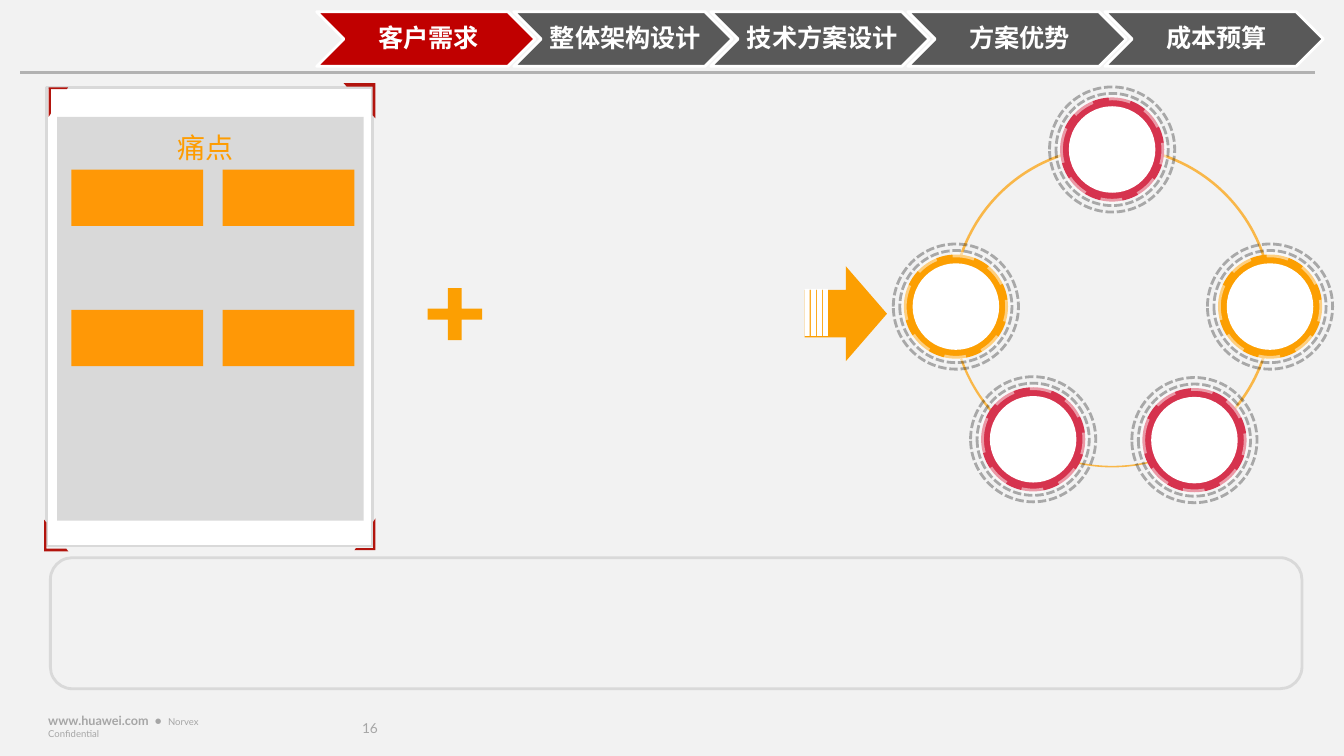
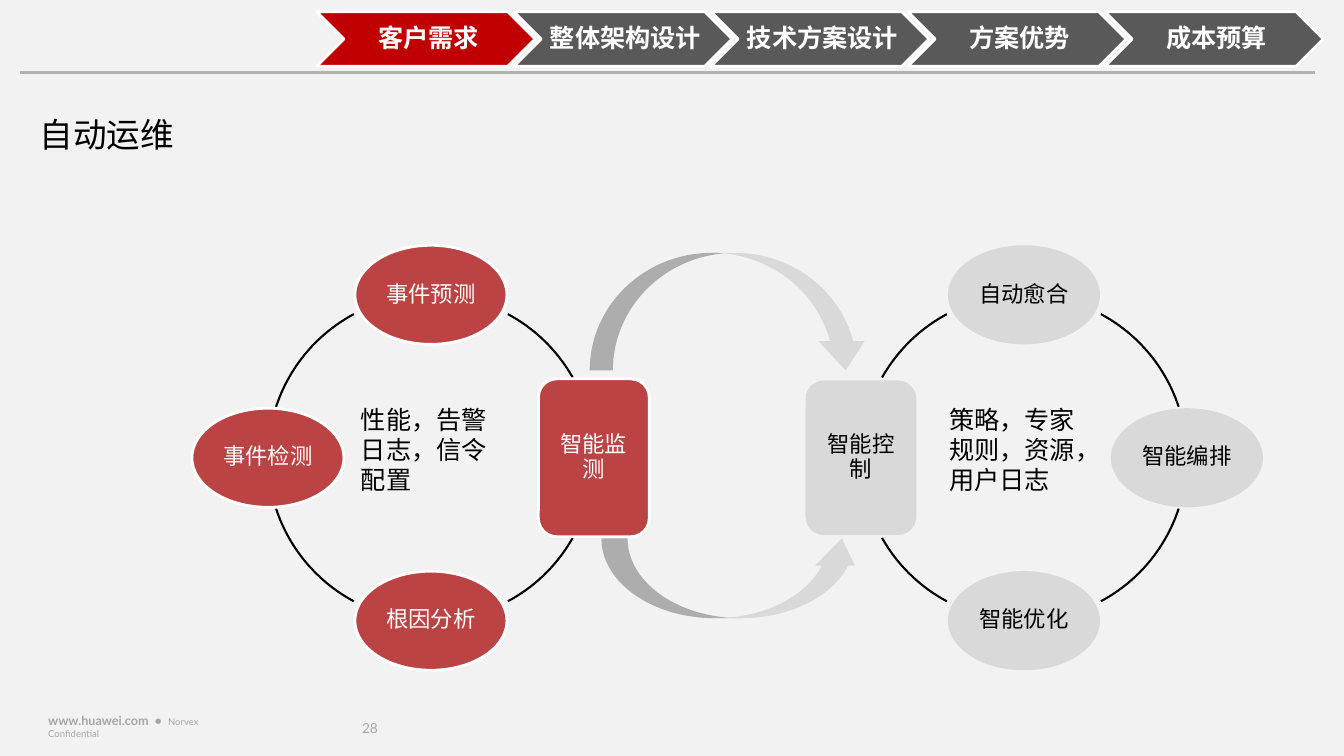
from lxml.etree import SubElement
from pptx import Presentation
from pptx.dml.color import RGBColor
from pptx.enum.dml import MSO_LINE
from pptx.enum.shapes import MSO_CONNECTOR, MSO_SHAPE
from pptx.enum.text import MSO_ANCHOR, PP_ALIGN
from pptx.oxml.ns import qn
from pptx.util import Inches, Pt

COLS, ROWS = 160, 90
CELL = Inches(13.333) / COLS
CJK, LATO = "Noto Sans CJK SC", "Lato"
WHITE, BLACK, SILVER = "FFFFFF", "000000", "D9D9D9"
RED, CRIMSON, BRICK = "C00000", "D6334E", "BC4343"
AMBER, ORANGE = "FC9F02", "FF9806"
DARK, RULE, FOOT, BACK = "595959", "B2B2B2", "A6A6A6", "F2F2F2"
STEPS = ["客户需求", "整体架构设计", "技术方案设计", "方案优势", "成本预算"]


def tint(code):
    """Turn a hex string into a colour."""
    return RGBColor.from_string(code)


def cells(*counts):
    """Turn counts of grid cells into lengths."""
    return [round(count * CELL) for count in counts]


def shape(slide, kind, box, fill=None, line=None, width=2, adj=(), turn=0):
    """Draw a preset shape on the grid."""
    item = slide.shapes.add_shape(kind, *cells(*box))
    item.shadow.inherit = False
    item.rotation = turn
    for spot, value in enumerate(adj):
        item.adjustments[spot] = value
    if fill:
        item.fill.solid()
        item.fill.fore_color.rgb = tint(fill)
    else:
        item.fill.background()
    if line:
        item.line.color.rgb = tint(line)
        item.line.width = Pt(width)
    else:
        item.line.fill.background()
    return item


def mid(x, y, w, h):
    """Give the box of a size around a centre."""
    return x - w / 2, y - h / 2, w, h


def turns(*angles):
    """Scale degrees to adjustment values."""
    return [angle * 0.6 for angle in angles]


def fade(item, tag, share):
    """Make the fill or line of a shape partly clear."""
    for node in item._element.spPr.find(qn(tag)).iter(qn("a:srgbClr")):
        SubElement(node, qn("a:alpha")).set("val", str(share * 1000))


def write(item, text, size, tone, face=CJK, bold=False, align=PP_ALIGN.LEFT,
          anchor=MSO_ANCHOR.TOP, gap=1, pads=(0.1, 0.05, 0.1, 0.05)):
    """Fill a shape with text in one style."""
    frame = item.text_frame
    frame.word_wrap = True
    frame.vertical_anchor = anchor
    (frame.margin_left, frame.margin_top,
     frame.margin_right, frame.margin_bottom) = map(Inches, pads)
    frame.text = text
    for para in frame.paragraphs:
        para.alignment = align
        para.line_spacing = gap
        font = para.font
        font.size, font.bold, font.name = Pt(size), bold, face
        font.color.rgb = tint(tone)
        SubElement(font._element.pPr.defRPr if hasattr(font._element, "pPr")
                   else font._element, qn("a:ea")).set("typeface", CJK) \
            if hasattr(font, "_element") else None
    return frame


def label(slide, box, text, size, tone, **style):
    """Add a text box on the grid."""
    return write(slide.shapes.add_textbox(*cells(*box)), text, size, tone, **style)


def center(item, text, size, tone, pads, **style):
    """Write text in the middle of a shape."""
    write(item, text, size, tone, align=PP_ALIGN.CENTER,
          anchor=MSO_ANCHOR.MIDDLE, gap=0.9, pads=pads, **style)


def frame(slide, page):
    """Add the step bar, the rule and the footer."""
    for spot, step in enumerate(STEPS):
        item = shape(slide, MSO_SHAPE.CHEVRON, (37.7 + 23.46 * spot, 1.4, 26, 6.5),
                     DARK if spot else RED, WHITE)
        center(item, step, 18, WHITE, (0.08, 0.03, 0.03, 0.03), bold=True)
    rule = slide.shapes.add_connector(MSO_CONNECTOR.STRAIGHT,
                                      *cells(2.4, 8.6, 156.5, 8.6))
    rule.line.color.rgb = tint(RULE)
    rule.line.width = Pt(2.25)
    SubElement(rule._element.spPr, qn("a:effectLst"))
    label(slide, (43.1, 85.6, 4.8, 2.5), page, 9.8, FOOT, face=LATO,
          anchor=MSO_ANCHOR.MIDDLE, gap=0.85, pads=(0, 0, 0, 0))
    foot = label(slide, (4.9, 85.1, 25.1, 2.8), "www.huawei.com  •  ", 9, FOOT,
                 face=LATO, bold=True, anchor=MSO_ANCHOR.MIDDLE,
                 pads=(0.07, 0.04, 0.07, 0.04))
    run = foot.paragraphs[0].add_run()
    run.text = "Norvex Confidential"
    run.font.size, run.font.bold = Pt(6.8), False


def panel(slide):
    """Draw the framed panel with its four blocks."""
    shape(slide, MSO_SHAPE.RECTANGLE, (5.5, 10.4, 38.9, 54.6), WHITE, SILVER)
    for box, turn in [((5.8, 10.4, 2.3, 3.5), 0), ((40.7, 10.1, 4.2, 3.8), 90),
                      ((4.8, 62.3, 3.8, 2.9), 270), ((42.2, 61.7, 2.5, 3.8), 180)]:
        shape(slide, MSO_SHAPE.HALF_FRAME, box, "B2140D",
              adj=(0.093, 0.113), turn=turn)
    shape(slide, MSO_SHAPE.RECTANGLE, (6.8, 13.9, 36.5, 48.1), SILVER)
    label(slide, (20, 15, 22.8, 5.3), "痛点", 20, "FE9C00")
    for y in (20.2, 36.9):
        for x in (8.5, 26.5):
            shape(slide, MSO_SHAPE.RECTANGLE, (x, y, 15.7, 6.7), ORANGE)


def wheel(slide):
    """Draw the ring of five dashed discs."""
    for start, stop, thick in [(108, 161.04, 0.007), (54, 107.52, 0.005),
                               (0, 54.32, 0.008), (162, 0.16, 0.008)]:
        arc = shape(slide, MSO_SHAPE.BLOCK_ARC, mid(132.4, 36.5, 38.3, 38.3),
                    AMBER, adj=(*turns(start, stop), thick))
        fade(arc, "a:solidFill", 70)
    spots = [(132.4, 17.8, CRIMSON), (151.2, 36.5, AMBER), (113.8, 36.5, AMBER),
             (123, 52.3, CRIMSON), (142.2, 52.4, CRIMSON)]
    for x, y, tone in spots:
        disc = shape(slide, MSO_SHAPE.OVAL, mid(x, y, 12.4, 12.4), tone, WHITE, 4)
        disc.line.dash_style = MSO_LINE.DASH
        fade(disc, "a:ln", 50)
        shape(slide, MSO_SHAPE.OVAL, mid(x, y, 10.3, 10.3), WHITE)
        ring = shape(slide, MSO_SHAPE.DONUT, mid(x, y, 14.9, 14.9), None, BLACK,
                     adj=(0.052,))
        ring.line.dash_style = MSO_LINE.SQUARE_DOT
        fade(ring, "a:ln", 30)


def arrow(slide):
    """Draw the block arrow with a striped tail."""
    shape(slide, MSO_SHAPE.RIGHT_ARROW, (95.8, 31.7, 9.8, 11.3), AMBER)
    for spot in range(4):
        shape(slide, MSO_SHAPE.RECTANGLE,
              (95.8 + 0.72 * spot, 34.4, 0.6, 5.6), WHITE)


def loop(slide, x, side, names, hub, fill, ink, line, tall):
    """Draw a ring of three ovals and a hub on the given side."""
    y, r = 54.5, 19.4
    for start, stop in [(298.2, 330.5), (29.5, 61.8), (118.2, 161.8), (198.2, 241.8)]:
        ends = (start, stop) if side > 0 else ((540 - stop) % 360, (540 - start) % 360)
        shape(slide, MSO_SHAPE.ARC, mid(x, y, 2 * r, 2 * r), None, BLACK, 1.5,
              adj=turns(*ends))
    spots = [(x, y - r), (x - side * r, y), (x, y + r)]
    nodes = [(MSO_SHAPE.OVAL, mid(*spot, 18.1, 11.8), name)
             for spot, name in zip(spots, names)]
    nodes.append((MSO_SHAPE.ROUNDED_RECTANGLE, mid(x + side * r, y, 13.2, tall), hub))
    for kind, box, name in nodes:
        item = shape(slide, kind, box, fill, line)
        center(item, name, 16, ink, (0.07,) * 4, face=LATO)


def needs(deck):
    """Build the slide on customer needs."""
    slide = deck.slides.add_slide(deck.slide_layouts[6])
    panel(slide)
    shape(slide, MSO_SHAPE.CROSS, (50.9, 34.3, 6.5, 6.2), AMBER, adj=(0.393,))
    wheel(slide)
    arrow(slide)
    shape(slide, MSO_SHAPE.ROUNDED_RECTANGLE, (6, 66.4, 149, 15.6), None, SILVER)
    frame(slide, "16")


def upkeep(deck):
    """Build the slide on automatic upkeep."""
    slide = deck.slides.add_slide(deck.slide_layouts[5])
    frame(slide, "28")
    title = slide.shapes.title
    title.left, title.top, title.width, title.height = cells(3.5, 13, 34, 6)
    write(title, "自动运维", 24, BLACK)
    loop(slide, 51.3, 1, ["事件预测", "事件检测", "根因分析"], "智能监测",
         BRICK, WHITE, WHITE, 18.8)
    loop(slide, 121.9, -1, ["自动愈合", "智能编排", "智能优化"], "智能控制",
         SILVER, BLACK, None, 18.4)
    shape(slide, MSO_SHAPE.CURVED_DOWN_ARROW, (70.2, 30.1, 33.2, 14), SILVER,
          adj=(0.197, 0.392, 0.25))
    shape(slide, MSO_SHAPE.CURVED_UP_ARROW, (71.6, 64.1, 31, 9.5), SILVER,
          adj=(0.328, 0.5, 0.342))
    label(slide, (41.8, 47.5, 19.7, 12.1), "性能，告警\n日志，信令\n配置", 18, BLACK,
          face=LATO)
    label(slide, (111.8, 47.5, 18.5, 15.7), "策略，专家规则，资源，用户日志", 18, BLACK,
          face=LATO)


def main():
    """Build and save the deck."""
    deck = Presentation()
    deck.slide_width, deck.slide_height = cells(COLS, ROWS)
    back = deck.slide_master.background.fill
    back.solid()
    back.fore_color.rgb = tint(BACK)
    needs(deck)
    upkeep(deck)
    deck.save("out.pptx")


if __name__ == "__main__":
    main()
